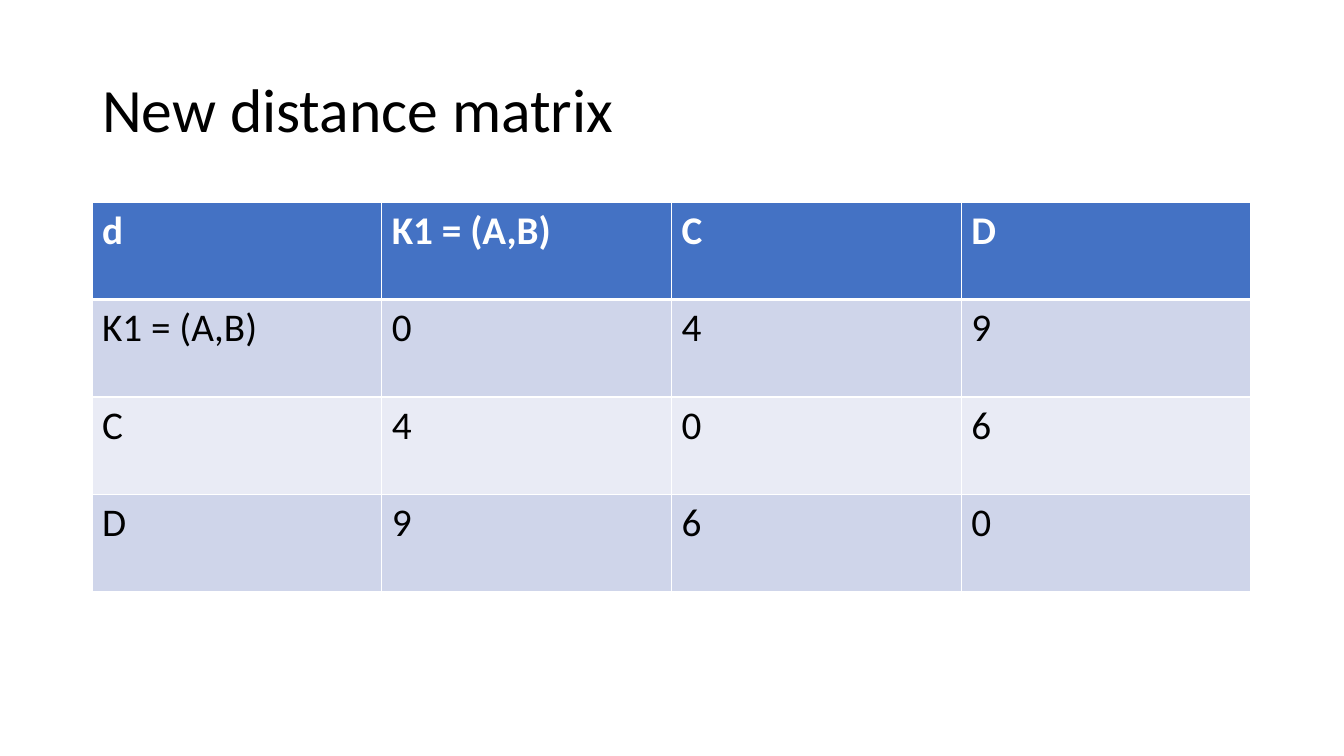
from lxml import etree
from pptx import Presentation
from pptx.dml.color import RGBColor
from pptx.enum.text import MSO_ANCHOR, MSO_AUTO_SIZE, PP_ALIGN
from pptx.oxml.ns import qn
from pptx.util import Pt

MIDDLE = MSO_ANCHOR.MIDDLE
NO_FIT = MSO_AUTO_SIZE.NONE
LEFT = PP_ALIGN.LEFT
TITLE_ONLY = 5
EMU_PER_PX = 914400 / 100.8
COLORS = {
    "text": "000000",
    "header_text": "FFFFFF",
    "border": "FFFFFF",
    "header": "4472C4",
    "odd_row": "CFD5EA",
    "even_row": "E9EBF5",
}
DISTANCES = [
    ["d", "K1 = (A,B)", "C", "D"],
    ["K1 = (A,B)", "0", "4", "9"],
    ["C", "4", "0", "6"],
    ["D", "9", "6", "0"],
]


def px(length):
    return round(length * EMU_PER_PX)


class SlideBuilder:
    """Holds the text style and the current slide, and adds elements to it."""

    def __init__(self, page, font="Calibri"):
        self.page = page
        self.font = font

    def style(self, para, size, color, bold=False):
        for span in para.runs:
            span.font.name = self.font
            span.font.size = Pt(size)
            span.font.bold = bold
            span.font.color.rgb = RGBColor.from_string(COLORS[color])

    def title(self, text, left, top, width, height):
        box = self.page.shapes.title
        box.left, box.top, box.width, box.height = map(px, (left, top, width, height))
        frame = box.text_frame
        frame.text = text
        frame.word_wrap = True
        frame.auto_size = NO_FIT
        frame.vertical_anchor = MIDDLE
        para = frame.paragraphs[0]
        para.alignment = LEFT
        para.line_spacing = 0.9
        self.style(para, 44, "text")

    def borders(self, cell, widths):
        properties = cell._tc.get_or_add_tcPr()
        for index, (side, points) in enumerate(widths.items()):
            line = etree.Element(qn(f"a:ln{side}"), w=str(Pt(points)))
            fill = etree.SubElement(line, qn("a:solidFill"))
            etree.SubElement(fill, qn("a:srgbClr"), val=COLORS["border"])
            properties.insert(index, line)

    def table(self, rows, left, top, width, height):
        frame = self.page.shapes.add_table(
            len(rows), len(rows[0]), *map(px, (left, top, width, height))
        )
        for row_index, values in enumerate(rows):
            is_header = row_index == 0
            band = "odd_row" if row_index % 2 else "even_row"
            widths = {
                "L": 1,
                "R": 1,
                "T": 3 if row_index == 1 else 1,
                "B": 3 if is_header else 1,
            }
            for column_index, value in enumerate(values):
                cell = frame.table.cell(row_index, column_index)
                cell.text = value
                cell.fill.solid()
                fill_color = COLORS["header" if is_header else band]
                cell.fill.fore_color.rgb = RGBColor.from_string(fill_color)
                self.borders(cell, widths)
                text_color = "header_text" if is_header else "text"
                self.style(cell.text_frame.paragraphs[0], 28, text_color, is_header)


def main():
    deck = Presentation()
    deck.slide_width, deck.slide_height = px(1344), px(756)
    page = deck.slides.add_slide(deck.slide_layouts[TITLE_ONLY])
    builder = SlideBuilder(page)
    builder.title("New distance matrix", 92, 40, 1159, 146)
    builder.table(DISTANCES, 92, 202, 1159, 390)
    deck.save("out.pptx")


if __name__ == "__main__":
    main()
